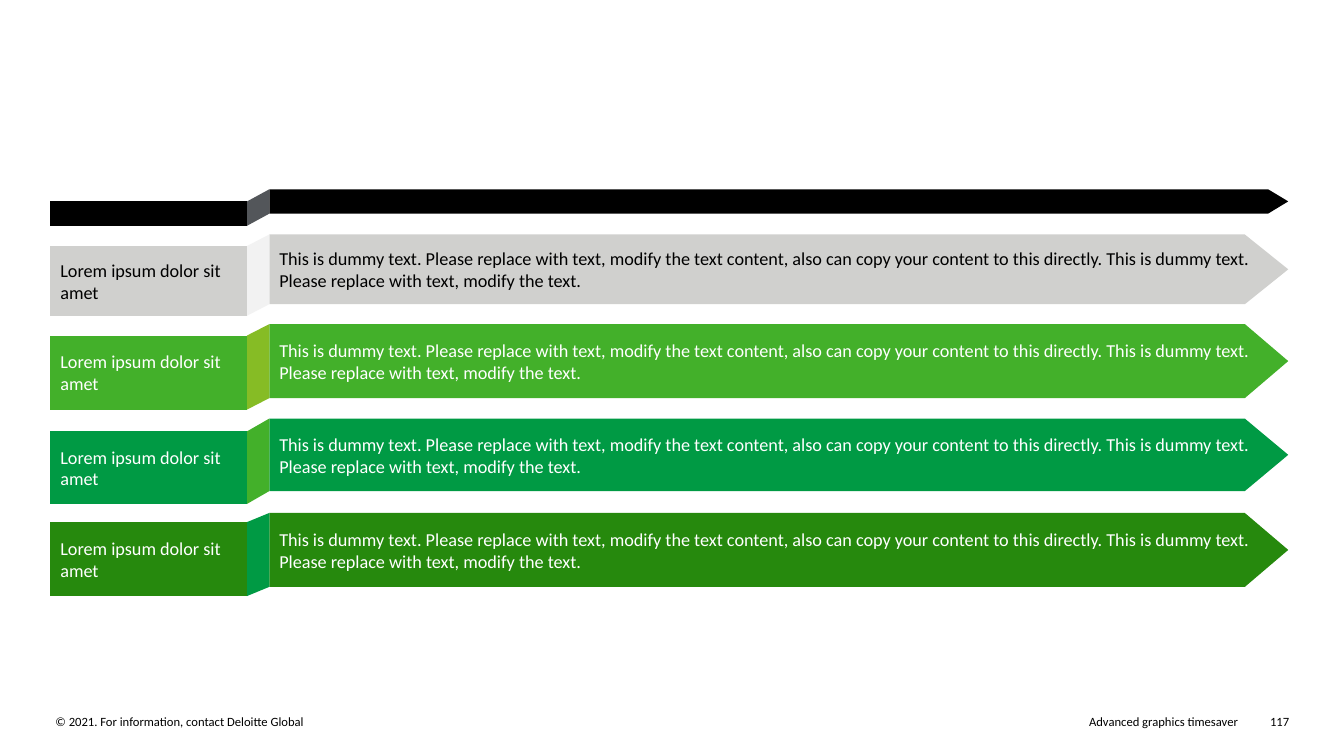
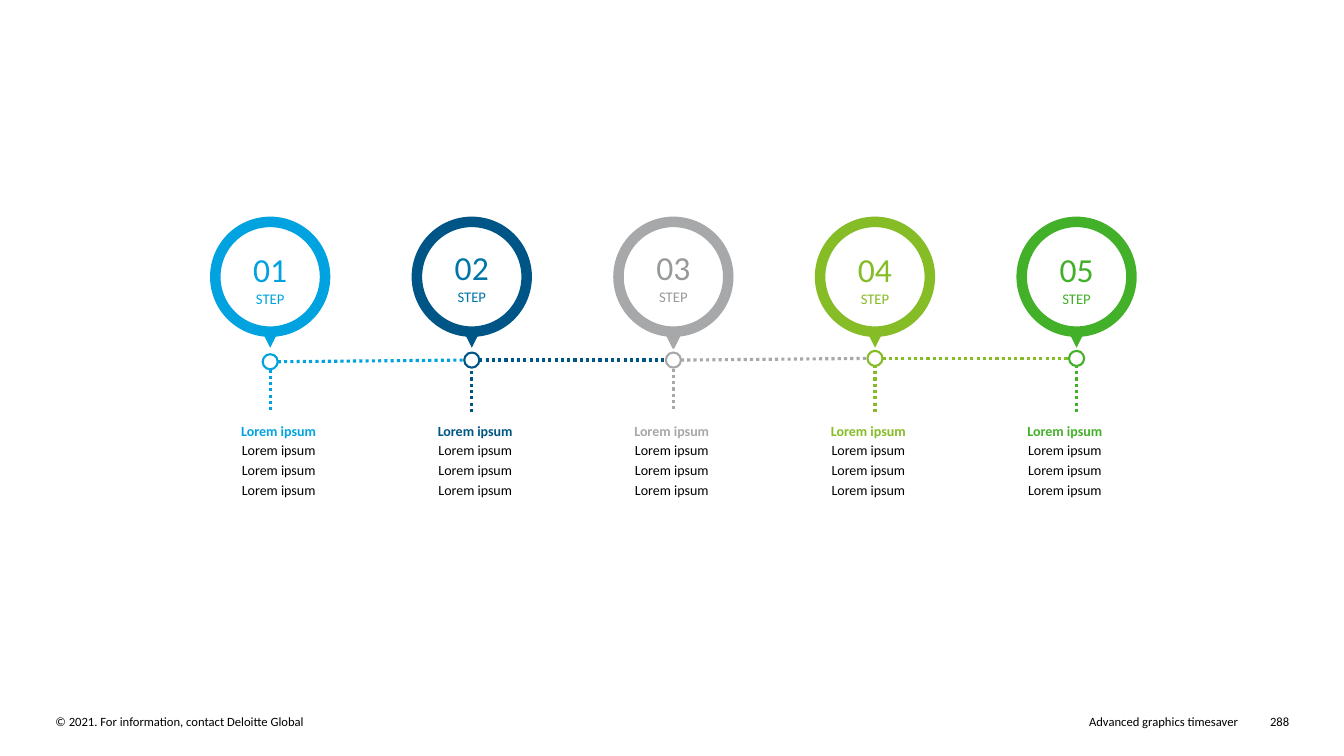
from dataclasses import dataclass

from lxml.etree import SubElement
from pptx import Presentation
from pptx.dml.color import RGBColor as RGB
from pptx.enum.dml import MSO_LINE as Dash
from pptx.enum.shapes import MSO_CONNECTOR as Link, MSO_SHAPE as Form
from pptx.enum.text import MSO_ANCHOR as Anchor, PP_ALIGN as Align
from pptx.oxml.ns import qn
from pptx.util import Pt


@dataclass(frozen=True)
class Theme:
    font: str = "Calibri"
    black: str = "000000"
    white: str = "FFFFFF"
    slate: str = "53565A"
    silver: str = "D0D0CE"
    pale: str = "F2F2F2"
    gray: str = "A7A8AA"
    steel: str = "97999B"
    lime: str = "86BC25"
    green: str = "43B02A"
    teal: str = "009A44"
    forest: str = "26890D"
    sky: str = "00A3E0"
    ocean: str = "0076A8"
    navy: str = "005587"
    foot: float = 9
    body: float = 13
    count: float = 24
    step: float = 10.5
    label: float = 10


T = Theme()


def paint(shape, fill, line=None, width=0):
    shape.shadow.inherit = False
    shape.fill.solid()
    shape.fill.fore_color.rgb = RGB.from_string(fill)
    if line:
        shape.line.color.rgb = RGB.from_string(line)
        shape.line.width = Pt(width)
    else:
        shape.line.fill.background()


def write(shape, paras, align=Align.LEFT, inset=(0, 0, 0, 0),
          anchor=Anchor.TOP, gap=0):
    """Fill a shape with paragraphs given as (text, size, colour, bold)."""
    frame = shape.text_frame
    frame.word_wrap = True
    frame.vertical_anchor = anchor
    (frame.margin_left, frame.margin_top,
     frame.margin_right, frame.margin_bottom) = map(Pt, inset)
    for i, (text, size, ink, bold) in enumerate(paras):
        para = frame.add_paragraph() if i else frame.paragraphs[0]
        para.alignment = align
        if i and gap:
            para.space_before = Pt(gap)
        run = para.add_run()
        run.text = text
        run.font.name = T.font
        run.font.size = Pt(size)
        run.font.bold = bold
        run.font.color.rgb = RGB.from_string(ink)


deck = Presentation()
deck.slide_width, deck.slide_height = Pt(960), Pt(540)

# Pages with their shared footer
pages = []
for number in ("117", "288"):
    page = deck.slides.add_slide(deck.slide_layouts[6]).shapes
    for text, left, width, align in (
        ("© 2021. For information, contact Deloitte Global", 39.6, 422, Align.LEFT),
        ("Advanced graphics timesaver", 499, 385.2, Align.RIGHT),
        (number, 896.4, 24.5, Align.RIGHT),
    ):
        box = page.add_textbox(Pt(left), Pt(509.8), Pt(width), Pt(10.8))
        write(box, [(text, T.foot, T.black, False)], align)
    pages.append(page)
bands, steps = pages

# Folded ribbon arrows: the tag sits lower than the arrow by the drop
LEFT, FOLD, BODY, TIP = 36, 176.4, 192.4, 920.2
HEAD = "Lorem ipsum dolor sit amet"
COPY = ("This is dummy text. Please replace with text, modify the text content, "
        "also can copy your content to this directly. This is dummy text. "
        "Please replace with text, modify the text.")
rows = (
    (135.2, 17.4, 8.7, 905.8, T.black, T.slate, None),
    (167.5, 49.8, 8.3, 889.2, T.silver, T.pale, T.black),
    (231.5, 52.9, 8.2, 889.2, T.green, T.lime, T.white),
    (299, 51.8, 9.2, 889.2, T.teal, T.green, T.white),
    (366.4, 52.8, 6.6, 889.2, T.forest, T.teal, T.white),
)
for top, high, drop, neck, fill, shade, ink in rows:
    base, low = top + high, top + drop
    foot = base + drop
    arrow = [(BODY, top), (neck, top), (TIP, top + high / 2), (neck, base), (BODY, base)]
    fold = [(BODY, top), (FOLD, low), (FOLD, foot), (BODY, base)]
    tag = [(LEFT, low), (FOLD, low), (FOLD, foot), (LEFT, foot)]
    for dots, tone, text, right in (
        (arrow, fill, COPY, 28),
        (fold, shade, None, 0),
        (tag, fill, HEAD, 7.2),
    ):
        dots = [(Pt(x), Pt(y)) for x, y in dots]
        pen = bands.build_freeform(*dots[0])
        pen.add_line_segments(dots[1:])
        shape = pen.convert_to_shape()
        paint(shape, tone)
        if text and ink:
            write(shape, [(text, T.body, ink, False)],
                  inset=(7.2, 3.6, right, 3.6), anchor=Anchor.MIDDLE)

# Step timeline: tone, number colour, number top, node centre, stem top
MID, PITCH, RING, NODE, PIN = 193, 144, 78.4, 10.8, 11.4
marks = (
    (T.sky, T.sky, 178, 258.4, 255),
    (T.navy, T.ocean, 176.6, 257.2, 256.2),
    (T.gray, T.steel, 176.6, 257.2, 254.4),
    (T.lime, T.lime, 178, 256, 256.2),
    (T.green, T.green, 178, 256, 256.2),
)
mids = [MID + PITCH * i for i in range(len(marks))]
lines = [(x, stem, x, stem + 40, tone)
         for x, (tone, _, _, _, stem) in zip(mids, marks)]
lines += [(x + NODE / 2, here[3], x + PITCH - NODE / 2, there[3], here[0])
          for x, here, there in zip(mids, marks, marks[1:])]
for x1, y1, x2, y2, tone in lines:
    line = steps.add_connector(Link.STRAIGHT, Pt(x1), Pt(y1), Pt(x2), Pt(y2))
    line.line.color.rgb = RGB.from_string(tone)
    line.line.width = Pt(2.25)
    line.line.dash_style = Dash.ROUND_DOT
    SubElement(line._element.spPr, qn("a:effectLst"))

for i, (x, (tone, ink, top, node, _)) in enumerate(zip(mids, marks)):
    for form, y, wide, high, fill, edge, width in (
        (Form.OVAL, 158.5, RING, RING, T.white, tone, 7.5),
        (Form.ISOSCELES_TRIANGLE, 237, PIN, PIN, tone,
         tone if tone == T.gray else None, 1.5),
        (Form.OVAL, node - NODE / 2, NODE, NODE, T.white, tone, 1.5),
    ):
        shape = steps.add_shape(form, Pt(x - wide / 2), Pt(y), Pt(wide), Pt(high))
        paint(shape, fill, edge, width)
        if form == Form.ISOSCELES_TRIANGLE:
            shape.rotation = 180

    box = steps.add_textbox(Pt(x - 26.3), Pt(top), Pt(52.6), Pt(42.5))
    write(box, [(f"{i + 1:02}", T.count, ink, False),
                ("STEP", T.step, ink, False)], Align.CENTER)

    box = steps.add_textbox(Pt(150.4 + 140.4 * i), Pt(301.7), Pt(97.2), Pt(54.7))
    write(box, [("Lorem ipsum", T.label, tone, True)]
          + [("Lorem ipsum", T.label, T.black, False)] * 3, Align.CENTER, gap=2)

deck.save("out.pptx")
